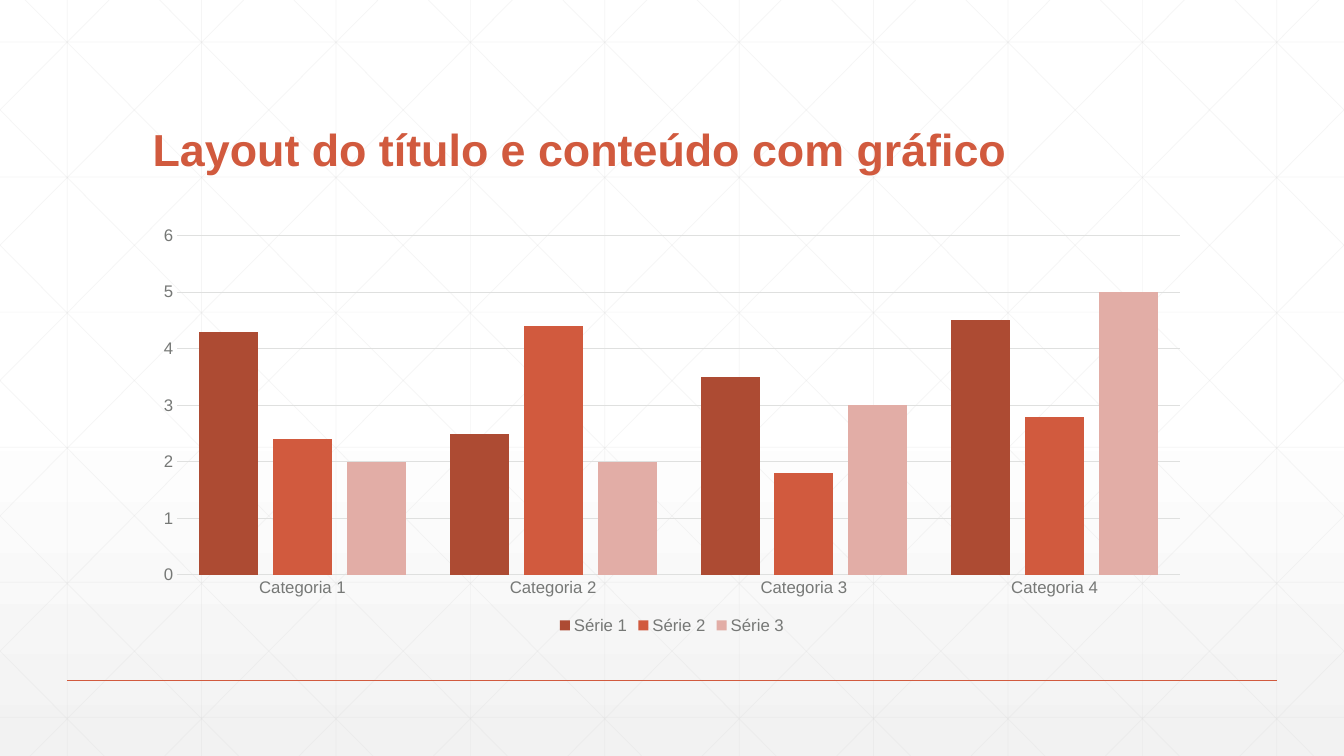
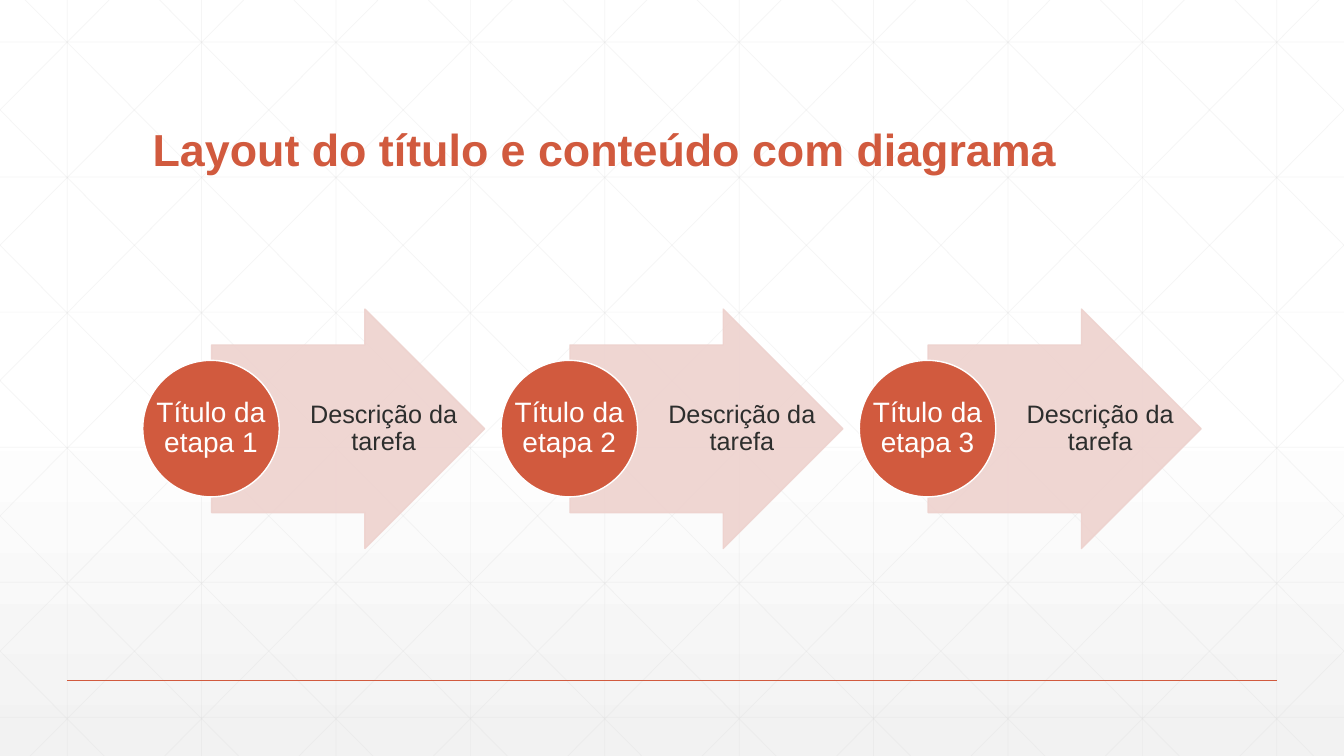
"""Build a two-slide deck with a shared line-grid backdrop, a column chart and a step diagram."""
from dataclasses import dataclass
from typing import Any

from lxml.etree import SubElement
from pptx import Presentation
from pptx.chart.data import CategoryChartData
from pptx.dml.color import RGBColor
from pptx.enum.chart import XL_CHART_TYPE as ChartType
from pptx.enum.chart import XL_LEGEND_POSITION as LegendPos
from pptx.enum.chart import XL_TICK_MARK as Tick
from pptx.enum.shapes import MSO_CONNECTOR as Conn
from pptx.enum.shapes import MSO_SHAPE as Shape
from pptx.enum.text import MSO_ANCHOR as Anchor
from pptx.enum.text import PP_ALIGN as Align
from pptx.oxml.ns import qn
from pptx.util import Inches, Pt

COLS, ROWS = 160, 90
UNIT = Inches(1) / 12


@dataclass(frozen=True)
class Theme:
    font: str = "Arial"
    accent: str = "D15A3E"
    dark_accent: str = "AD4B33"
    soft_accent: str = "E2ADA6"
    arrow: str = "EED2CE"
    ink: str = "2D2E2D"
    muted: str = "767876"
    rule: str = "DFE0DF"
    mesh: str = "D9D9D9"
    paper: str = "FFFFFF"
    shade: str = "F2F2F2"
    title_pt: float = 32
    step_pt: float = 20
    body_pt: float = 18
    label_pt: float = 12
    chart_pt: float = 10
    line_pt: float = 1
    mesh_pt: float = 0.5
    grid_pt: float = 0.75


@dataclass(frozen=True)
class Box:
    """A rectangle in grid columns and rows."""
    x: float
    y: float
    w: float
    h: float

    def emu(self) -> tuple[int, ...]:
        return tuple(units(v) for v in (self.x, self.y, self.w, self.h))

    def shifted(self, dx: float) -> "Box":
        return Box(self.x + dx, self.y, self.w, self.h)


@dataclass(frozen=True)
class TextStyle:
    size: float
    color: str
    bold: bool = False
    align: Align = Align.LEFT
    anchor: Anchor = Anchor.MIDDLE
    insets: tuple[float, ...] = (0.1, 0.05, 0.1, 0.05)


@dataclass(frozen=True)
class Series:
    name: str
    values: tuple[float, ...]
    color: str


@dataclass(frozen=True)
class Step:
    title: str
    description: str


T = Theme()
TITLE = TextStyle(T.title_pt, T.accent, bold=True, anchor=Anchor.BOTTOM)
STEP = TextStyle(T.step_pt, T.paper, align=Align.CENTER, insets=(0.01,) * 4)
BODY = TextStyle(T.body_pt, T.ink, align=Align.CENTER, insets=(0.05, 0.01, 0.03, 0.01))

TITLE_BOX = Box(17, 6.6, 126, 15)
CHART_BOX = Box(17, 26, 126, 50)
ARROW_BOX = Box(25.2, 36.8, 32.5, 28.5)
DESCRIPTION_BOX = Box(33.4, 36.8, 24.3, 28.5)
CIRCLE_BOX = Box(17, 42.9, 16.25, 16.25)
STEP_PITCH = 42.65

CATEGORIES = [f"Categoria {n}" for n in range(1, 5)]
SERIES = [
    Series("Série 1", (4.3, 2.5, 3.5, 4.5), T.dark_accent),
    Series("Série 2", (2.4, 4.4, 1.8, 2.8), T.accent),
    Series("Série 3", (2, 2, 3, 5), T.soft_accent),
]
STEPS = [Step(f"Título da etapa {n}", "Descrição da tarefa") for n in range(1, 4)]


def units(n: float) -> int:
    return round(n * UNIT)


def rgb(color: str) -> RGBColor:
    return RGBColor.from_string(color)


def set_alpha(element: Any, percent: int) -> None:
    for clr in element.iter(qn("a:srgbClr")):
        SubElement(clr, qn("a:alpha"), val=str(percent * 1000))


def set_line(line: Any, color: str, width: float) -> None:
    line.color.rgb = rgb(color)
    line.width = Pt(width)


def set_font(font: Any, size: float, color: str) -> None:
    font.name, font.size, font.color.rgb = T.font, Pt(size), rgb(color)


def add_line(shapes: Any, start: tuple[float, float], end: tuple[float, float],
             color: str, width: float) -> Any:
    conn = shapes.add_connector(Conn.STRAIGHT, *(units(v) for v in start + end))
    set_line(conn.line, color, width)
    SubElement(conn.element.spPr, qn("a:effectLst"))
    return conn


def add_text(shapes: Any, box: Box, text: str, style: TextStyle) -> None:
    tf = shapes.add_textbox(*box.emu()).text_frame
    tf.word_wrap = True
    tf.vertical_anchor = style.anchor
    tf.margin_left, tf.margin_top, tf.margin_right, tf.margin_bottom = map(Inches, style.insets)
    p = tf.paragraphs[0]
    p.alignment, p.line_spacing = style.align, 0.9
    r = p.add_run()
    r.text = text
    r.font.bold = style.bold
    set_font(r.font, style.size, style.color)


def add_shape(shapes: Any, kind: Shape, box: Box, fill: str, line: str) -> Any:
    sp = shapes.add_shape(kind, *box.emu())
    sp.shadow.inherit = False
    sp.fill.solid()
    sp.fill.fore_color.rgb = rgb(fill)
    set_line(sp.line, line, T.line_pt)
    return sp


def set_background(s: Any) -> None:
    fill = s.background.fill
    fill.gradient()
    fill.gradient_angle = 270
    stops = next(s.element.iter(qn("a:gsLst")))
    for stop in list(stops):
        stops.remove(stop)
    for pos, color in ((0, T.paper), (53, T.paper), (100, T.shade)):
        stop = SubElement(stops, qn("a:gs"), pos=str(pos * 1000))
        SubElement(stop, qn("a:srgbClr"), val=color)
    set_alpha(stops[-1], 65)


def mesh_lines() -> list[tuple[tuple[float, float], tuple[float, float]]]:
    lines = [((x, 0), (x, ROWS)) for x in range(8, COLS, 16)]
    lines += [((0, 5 + 16.08 * k), (COLS, 5 + 16.08 * k)) for k in range(6)]
    run = 89.4
    falling = []
    for top in range(-77, COLS, 16):
        left, right = max(top, 0), min(top + run, COLS)
        falling.append(tuple((x, (x - top) * ROWS / run) for x in (left, right)))
    mirrored = [tuple((COLS - x, y) for x, y in line) for line in falling]
    return lines + falling + mirrored


def add_slide(prs: Any, title: str) -> Any:
    s = prs.slides.add_slide(prs.slide_layouts[6])
    set_background(s)
    mesh = s.shapes.add_group_shape()
    for start, end in mesh_lines():
        set_alpha(add_line(mesh.shapes, start, end, T.mesh, T.mesh_pt).element, 25)
    add_line(s.shapes, (8, 81), (152, 81), T.accent, T.line_pt)
    add_text(s.shapes, TITLE_BOX, title, TITLE)
    return s


def add_column_chart(s: Any) -> None:
    data = CategoryChartData()
    data.categories = CATEGORIES
    for item in SERIES:
        data.add_series(item.name, item.values)
    chart = s.shapes.add_chart(ChartType.COLUMN_CLUSTERED, *CHART_BOX.emu(), data).chart
    set_font(chart.font, T.chart_pt, T.ink)
    chart.has_title = False
    chart.has_legend = True
    chart.legend.position = LegendPos.BOTTOM
    chart.legend.include_in_layout = False
    set_font(chart.legend.font, T.label_pt, T.muted)

    plot = chart.plots[0]
    plot.gap_width, plot.overlap, plot.vary_by_categories = 75, -25, False
    for item, series in zip(SERIES, plot.series):
        series.invert_if_negative = False
        series.format.fill.solid()
        series.format.fill.fore_color.rgb = rgb(item.color)

    cat, val = chart.category_axis, chart.value_axis
    for axis in (cat, val):
        axis.major_tick_mark = axis.minor_tick_mark = Tick.NONE
        set_font(axis.tick_labels.font, T.label_pt, T.muted)
    set_line(cat.format.line, T.rule, T.grid_pt)
    val.format.line.fill.background()
    val.minimum_scale, val.maximum_scale, val.major_unit = 0, 6, 1
    val.has_major_gridlines = True
    set_line(val.major_gridlines.format.line, T.rule, T.grid_pt)


def add_steps(s: Any) -> None:
    shapes = s.shapes.add_group_shape().shapes
    for i, step in enumerate(STEPS):
        dx = i * STEP_PITCH
        arrow = add_shape(shapes, Shape.RIGHT_ARROW, ARROW_BOX.shifted(dx), T.arrow, T.arrow)
        arrow.adjustments[0], arrow.adjustments[1] = 0.7, 0.5
        set_alpha(arrow.element.spPr, 90)
        add_text(shapes, DESCRIPTION_BOX.shifted(dx), step.description, BODY)
        circle = CIRCLE_BOX.shifted(dx)
        add_shape(shapes, Shape.OVAL, circle, T.accent, T.paper)
        add_text(shapes, circle, step.title, STEP)


def main() -> None:
    prs = Presentation()
    prs.slide_width, prs.slide_height = units(COLS), units(ROWS)
    add_column_chart(add_slide(prs, "Layout do título e conteúdo com gráfico"))
    add_steps(add_slide(prs, "Layout do título e conteúdo com diagrama"))
    prs.save("out.pptx")


main()
